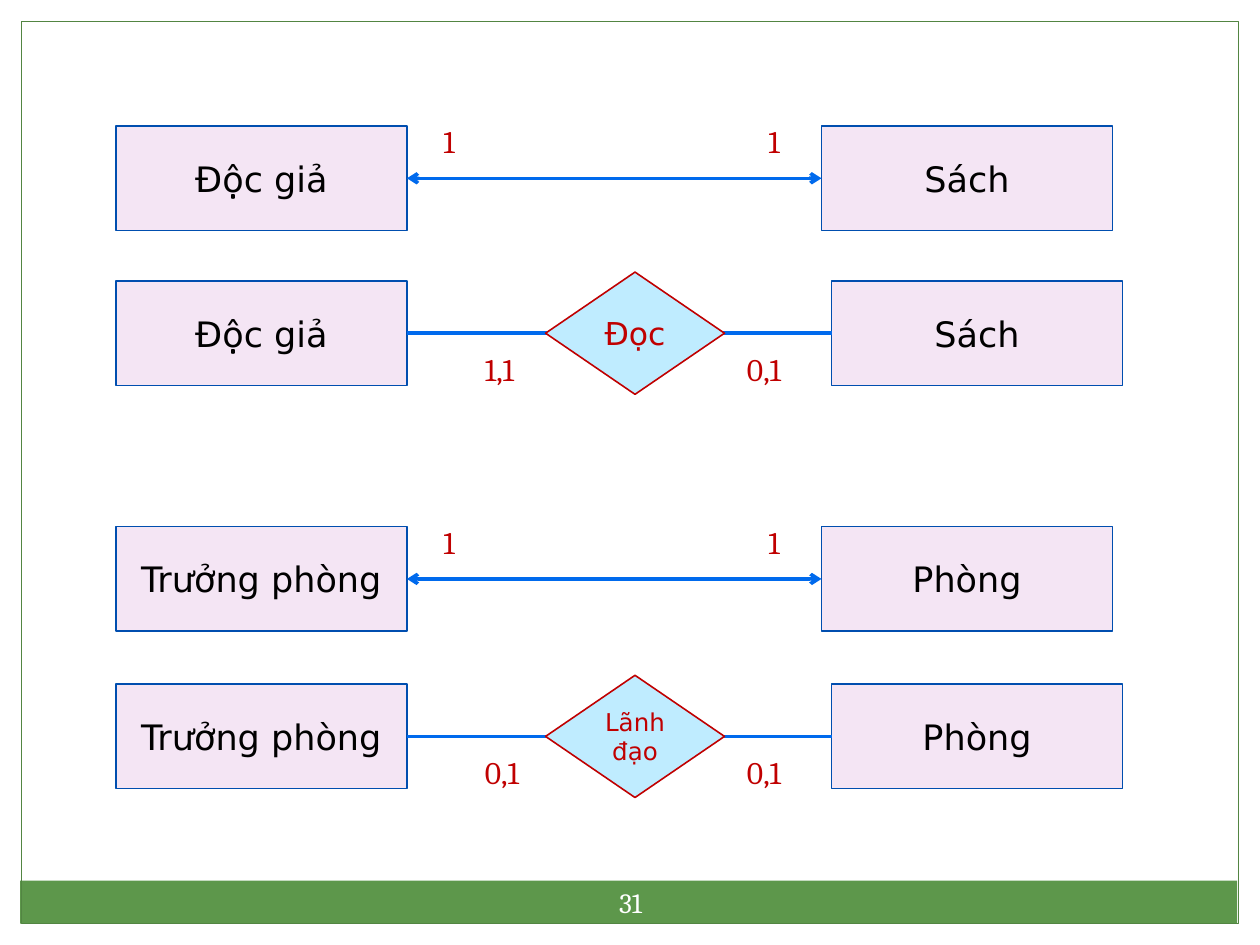
from dataclasses import dataclass

from lxml import etree
from pptx import Presentation
from pptx.dml.color import RGBColor
from pptx.enum import shapes, text
from pptx.oxml import ns
from pptx.util import Inches, Pt


@dataclass(frozen=True)
class Theme:
    frame: str = "528542"
    footer: str = "5D974B"
    footer_text: str = "FFFFFF"
    entity: str = "F4E5F4"
    entity_line: str = "004EAF"
    entity_text: str = "000000"
    relation: str = "BFECFF"
    accent: str = "C00000"
    link: str = "006AED"
    body_font: str = "DejaVu Sans"
    label_font: str = "Cambria"
    entity_size: int = 20
    label_size: int = 18
    page_size: int = 16
    outline: float = 0.9
    frame_width: float = 0.75
    link_width: float = 2


@dataclass(frozen=True)
class Relation:
    top: float
    left_entity: str
    right_entity: str
    left_count: str
    right_count: str
    name: str = ""
    name_size: int = 18


THEME = Theme()
ENTITY_LEFT, ENTITY_WIDTH, ENTITY_HEIGHT = 0.92, 2.31, 0.83
DIAMOND_LEFT, DIAMOND_WIDTH, DIAMOND_HEIGHT = 4.33, 1.42, 0.97
RELATIONS = [
    Relation(1, "Độc giả", "Sách", "1", "1"),
    Relation(2.23, "Độc giả", "Sách", "1,1", "0,1", "Đọc"),
    Relation(4.18, "Trưởng phòng", "Phòng", "1", "1"),
    Relation(5.43, "Trưởng phòng", "Phòng", "0,1", "0,1", "Lãnh đạo", 14),
]


def color(value: str) -> RGBColor:
    return RGBColor.from_string(value)


def write(shape, words: str, size: float, font: str, ink: str, align) -> None:
    shape.text_frame.text = words
    para = shape.text_frame.paragraphs[0]
    para.alignment = align
    for span in para.runs:
        span.font.size = Pt(size)
        span.font.name = font
        span.font.color.rgb = color(ink)


def add_block(page, kind, left: float, top: float, width: float, height: float,
              fill: str = "", line: str = "", weight: float = THEME.outline):
    block = page.shapes.add_shape(
        kind, Inches(left), Inches(top), Inches(width), Inches(height))
    block.shadow.inherit = False
    if fill:
        block.fill.solid()
        block.fill.fore_color.rgb = color(fill)
    else:
        block.fill.background()
    if line:
        block.line.color.rgb = color(line)
        block.line.width = Pt(weight)
    else:
        block.line.fill.background()
    block.text_frame.vertical_anchor = text.MSO_ANCHOR.MIDDLE
    return block


def add_entity(page, words: str, left: float, top: float):
    entity = add_block(page, shapes.MSO_SHAPE.RECTANGLE, left, top,
                       ENTITY_WIDTH, ENTITY_HEIGHT, THEME.entity, THEME.entity_line)
    write(entity, words, THEME.entity_size, THEME.body_font,
          THEME.entity_text, text.PP_ALIGN.CENTER)
    return entity


def add_link(page, start, end, arrows: bool) -> None:
    link = page.shapes.add_connector(shapes.MSO_CONNECTOR.STRAIGHT, 0, 0, 0, 0)
    link.begin_connect(start, 3)
    link.end_connect(end, 1)
    link.line.color.rgb = color(THEME.link)
    link.line.width = Pt(THEME.link_width)
    if arrows:
        outline = link.line._get_or_add_ln()
        for tag in ("a:headEnd", "a:tailEnd"):
            etree.SubElement(outline, ns.qn(tag), type="arrow")
    etree.SubElement(link._element.spPr, ns.qn("a:effectLst"))


def add_count(page, words: str, left: float, top: float, width: float) -> None:
    box = page.shapes.add_textbox(
        Inches(left), Inches(top), Inches(width), Inches(0.4))
    box.text_frame.word_wrap = False
    box.text_frame.auto_size = text.MSO_AUTO_SIZE.SHAPE_TO_FIT_TEXT
    write(box, words, THEME.label_size, THEME.label_font,
          THEME.accent, text.PP_ALIGN.LEFT)


def add_relation(page, relation: Relation) -> None:
    named = bool(relation.name)
    left = add_entity(page, relation.left_entity, ENTITY_LEFT, relation.top)
    right = add_entity(page, relation.right_entity, 6.6 if named else 6.52, relation.top)
    add_link(page, left, right, arrows=not named)
    if named:
        diamond = add_block(
            page, shapes.MSO_SHAPE.DIAMOND, DIAMOND_LEFT,
            relation.top + (ENTITY_HEIGHT - DIAMOND_HEIGHT) / 2,
            DIAMOND_WIDTH, DIAMOND_HEIGHT, THEME.relation, THEME.accent)
        diamond.text_frame.word_wrap = True
        write(diamond, relation.name, relation.name_size, THEME.body_font,
              THEME.accent, text.PP_ALIGN.CENTER)
    lefts, offset, width = ((3.75, 5.83), 0.5, 0.52) if named else ((3.42, 6), -0.08, 0.33)
    for count, count_left in zip((relation.left_count, relation.right_count), lefts):
        add_count(page, count, count_left, relation.top + offset, width)


def add_frame(page) -> None:
    add_block(page, shapes.MSO_SHAPE.RECTANGLE, 0.16, 6.99, 9.66, 0.34, THEME.footer)
    add_block(page, shapes.MSO_SHAPE.RECTANGLE, 0.17, 0.17, 9.66, 7.16,
              line=THEME.frame, weight=THEME.frame_width)
    number = page.shapes.add_textbox(
        Inches(4.67), Inches(6.92), Inches(0.67), Inches(0.48))
    frame = number.text_frame
    frame.word_wrap = True
    frame.vertical_anchor = text.MSO_ANCHOR.MIDDLE
    frame.margin_left = frame.margin_right = Inches(0.05)
    frame.margin_top = frame.margin_bottom = Inches(0.05)
    write(number, "31", THEME.page_size, THEME.label_font,
          THEME.footer_text, text.PP_ALIGN.CENTER)


def main() -> None:
    deck = Presentation()
    deck.slide_width, deck.slide_height = Inches(10), Inches(7.5)
    page = deck.slides.add_slide(deck.slide_layouts[6])
    add_frame(page)
    for relation in RELATIONS:
        add_relation(page, relation)
    deck.save("out.pptx")


if __name__ == "__main__":
    main()
